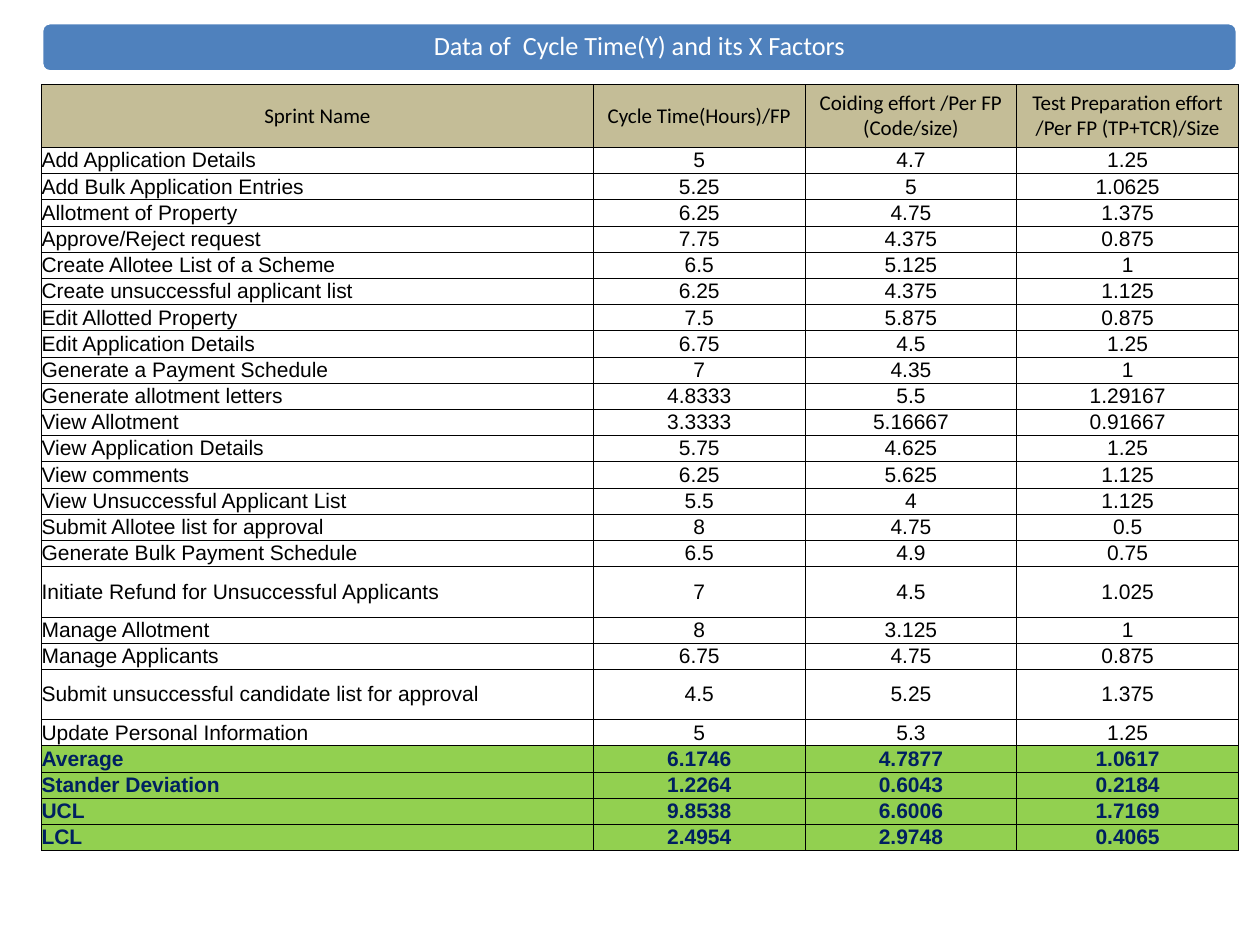
from lxml.etree import SubElement
from pptx import Presentation
from pptx.dml.color import RGBColor
from pptx.enum.shapes import MSO_SHAPE
from pptx.enum.text import MSO_ANCHOR, PP_ALIGN
from pptx.oxml.ns import qn
from pptx.util import Inches, Pt

COLORS = {
    "banner": "4F81BD", "white": "FFFFFF", "black": "000000",
    "header": "C4BD97", "summary": "92D050", "navy": "002060",
}
HEADER = ["Sprint Name", "Cycle Time(Hours)/FP", "Coiding effort /Per FP (Code/size)",
          "Test Preparation effort /Per FP (TP+TCR)/Size"]
SPRINTS = [
    ["Add Application Details", "5", "4.7", "1.25"],
    ["Add Bulk Application Entries", "5.25", "5", "1.0625"],
    ["Allotment of Property", "6.25", "4.75", "1.375"],
    ["Approve/Reject request", "7.75", "4.375", "0.875"],
    ["Create Allotee List of a Scheme", "6.5", "5.125", "1"],
    ["Create unsuccessful applicant list", "6.25", "4.375", "1.125"],
    ["Edit Allotted Property", "7.5", "5.875", "0.875"],
    ["Edit Application Details", "6.75", "4.5", "1.25"],
    ["Generate a Payment Schedule", "7", "4.35", "1"],
    ["Generate allotment letters", "4.8333", "5.5", "1.29167"],
    ["View Allotment", "3.3333", "5.16667", "0.91667"],
    ["View Application Details", "5.75", "4.625", "1.25"],
    ["View comments", "6.25", "5.625", "1.125"],
    ["View Unsuccessful Applicant List", "5.5", "4", "1.125"],
    ["Submit Allotee list for approval", "8", "4.75", "0.5"],
    ["Generate Bulk Payment Schedule", "6.5", "4.9", "0.75"],
    ["Initiate Refund for Unsuccessful Applicants", "7", "4.5", "1.025"],
    ["Manage Allotment", "8", "3.125", "1"],
    ["Manage Applicants", "6.75", "4.75", "0.875"],
    ["Submit unsuccessful candidate list for approval", "4.5", "5.25", "1.375"],
    ["Update Personal Information", "5", "5.3", "1.25"],
]
SUMMARY = [
    ["Average", "6.1746", "4.7877", "1.0617"],
    ["Stander Deviation", "1.2264", "0.6043", "0.2184"],
    ["UCL", "9.8538", "6.6006", "1.7169"],
    ["LCL", "2.4954", "2.9748", "0.4065"],
]
COL_WIDTHS = [4.38, 1.68, 1.68, 1.76]
TABLE_HEIGHT, HEADER_HEIGHT, TALL_HEIGHT = 6.09, 0.5, 0.4
TALL_ROWS = {17, 20}


class SlideBuilder:
    """Holds the text style and the current slide, and adds elements to it."""

    def __init__(self, prs):
        self.s = prs.slides.add_slide(prs.slide_layouts[6])
        self.heading_font, self.body_font = "Calibri", "Arial"
        self.title_size, self.cell_size = Pt(15), Pt(12)

    def color(self, name):
        return RGBColor.from_string(COLORS[name])

    def style(self, p, font, size, color, align, bold=False):
        p.alignment = align
        for r in p.runs:
            r.font.name, r.font.size, r.font.bold = font, size, bold
            r.font.color.rgb = self.color(color)

    def banner(self, text, x, y, w, h):
        sp = self.s.shapes.add_shape(MSO_SHAPE.ROUNDED_RECTANGLE,
                                     Inches(x), Inches(y), Inches(w), Inches(h))
        sp.shadow.inherit = False
        sp.fill.solid()
        sp.fill.fore_color.rgb = self.color("banner")
        sp.line.color.rgb = self.color("white")
        sp.line.width = Pt(2)
        tf = sp.text_frame
        tf.margin_left = tf.margin_right = tf.margin_top = tf.margin_bottom = Inches(0.06)
        tf.vertical_anchor = MSO_ANCHOR.MIDDLE
        tf.word_wrap = True
        tf.text = text
        p = tf.paragraphs[0]
        p.line_spacing = 0.9
        self.style(p, self.heading_font, self.title_size, "white", PP_ALIGN.CENTER)

    def border(self, cell):
        tcPr = cell._tc.get_or_add_tcPr()
        for side in ("a:lnL", "a:lnR", "a:lnT", "a:lnB"):
            ln = SubElement(tcPr, qn(side), w=str(Pt(0.5)))
            fill = SubElement(ln, qn("a:solidFill"))
            SubElement(fill, qn("a:srgbClr"), val=COLORS["black"])

    def cell(self, cell, text, fill, font, color, align, bold):
        self.border(cell)
        if fill:
            cell.fill.solid()
            cell.fill.fore_color.rgb = self.color(fill)
        else:
            cell.fill.background()
        cell.margin_left = cell.margin_right = cell.margin_top = cell.margin_bottom = 0
        cell.vertical_anchor = MSO_ANCHOR.MIDDLE
        cell.text_frame.text = text
        self.style(cell.text_frame.paragraphs[0], font, self.cell_size, color, align, bold)

    def table(self, x, y):
        rows = [HEADER] + SPRINTS + SUMMARY
        first_summary = len(rows) - len(SUMMARY)
        plain_rows = len(rows) - 1 - len(TALL_ROWS)
        row_height = (TABLE_HEIGHT - HEADER_HEIGHT - len(TALL_ROWS) * TALL_HEIGHT) / plain_rows
        table = self.s.shapes.add_table(len(rows), len(HEADER), Inches(x), Inches(y),
                                        Inches(sum(COL_WIDTHS)), Inches(TABLE_HEIGHT)).table
        table.first_row = table.horz_banding = False
        for column, width in zip(table.columns, COL_WIDTHS):
            column.width = Inches(width)
        for i, values in enumerate(rows):
            height, fill, font, color = row_height, None, self.body_font, "black"
            if i == 0:
                height, fill, font = HEADER_HEIGHT, "header", self.heading_font
            elif i in TALL_ROWS:
                height = TALL_HEIGHT
            elif i >= first_summary:
                fill, color = "summary", "navy"
            table.rows[i].height = Inches(height)
            for j, text in enumerate(values):
                align = PP_ALIGN.LEFT if i and j == 0 else PP_ALIGN.CENTER
                self.cell(table.cell(i, j), text, fill, font, color, align, i >= first_summary)


def main():
    prs = Presentation()
    prs.slide_width, prs.slide_height = Inches(10), Inches(7.5)
    slide = SlideBuilder(prs)
    slide.banner("Data of  Cycle Time(Y) and its X Factors", 0.33, 0.18, 9.49, 0.39)
    slide.table(0.33, 0.67)
    prs.save("out.pptx")


if __name__ == "__main__":
    main()
